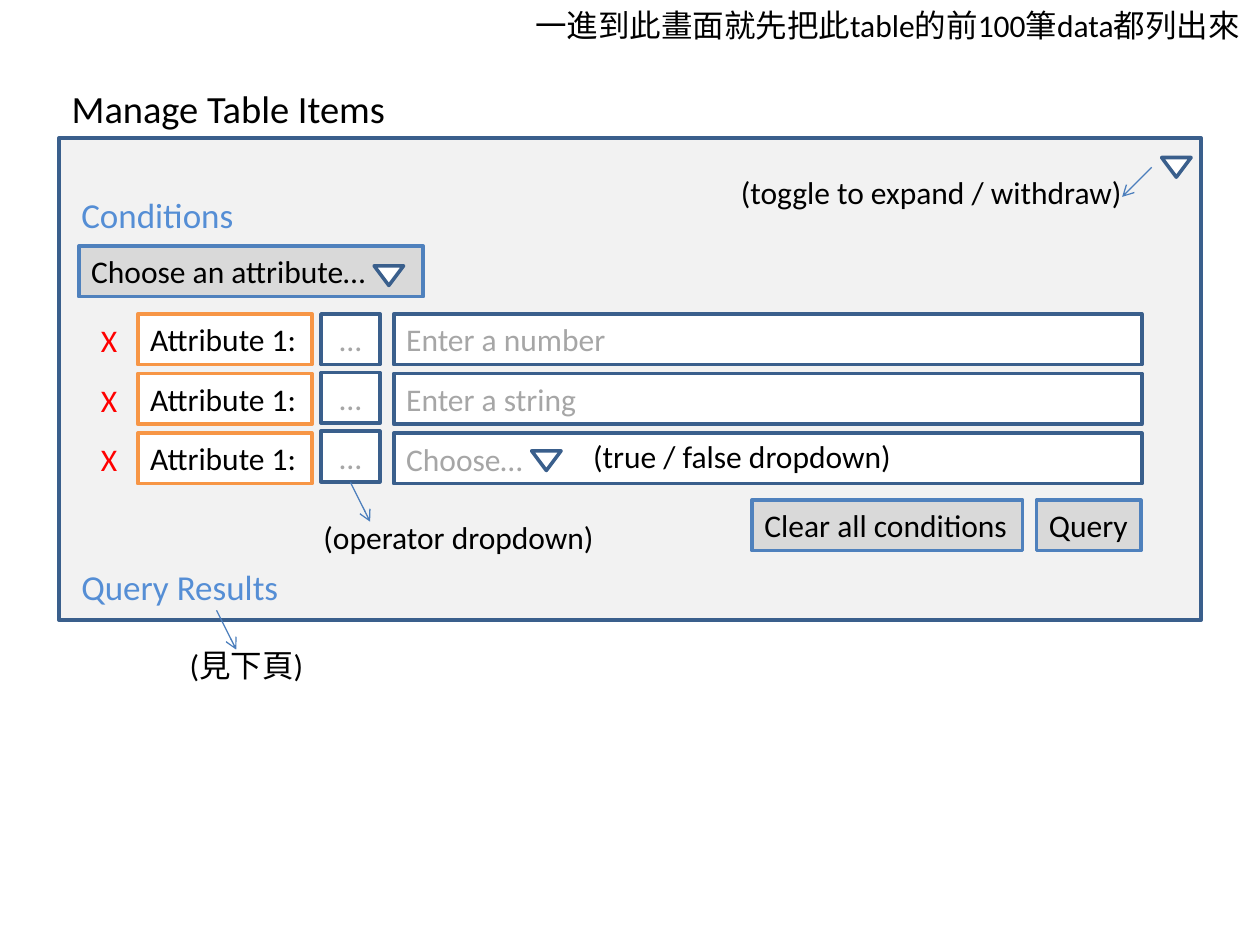
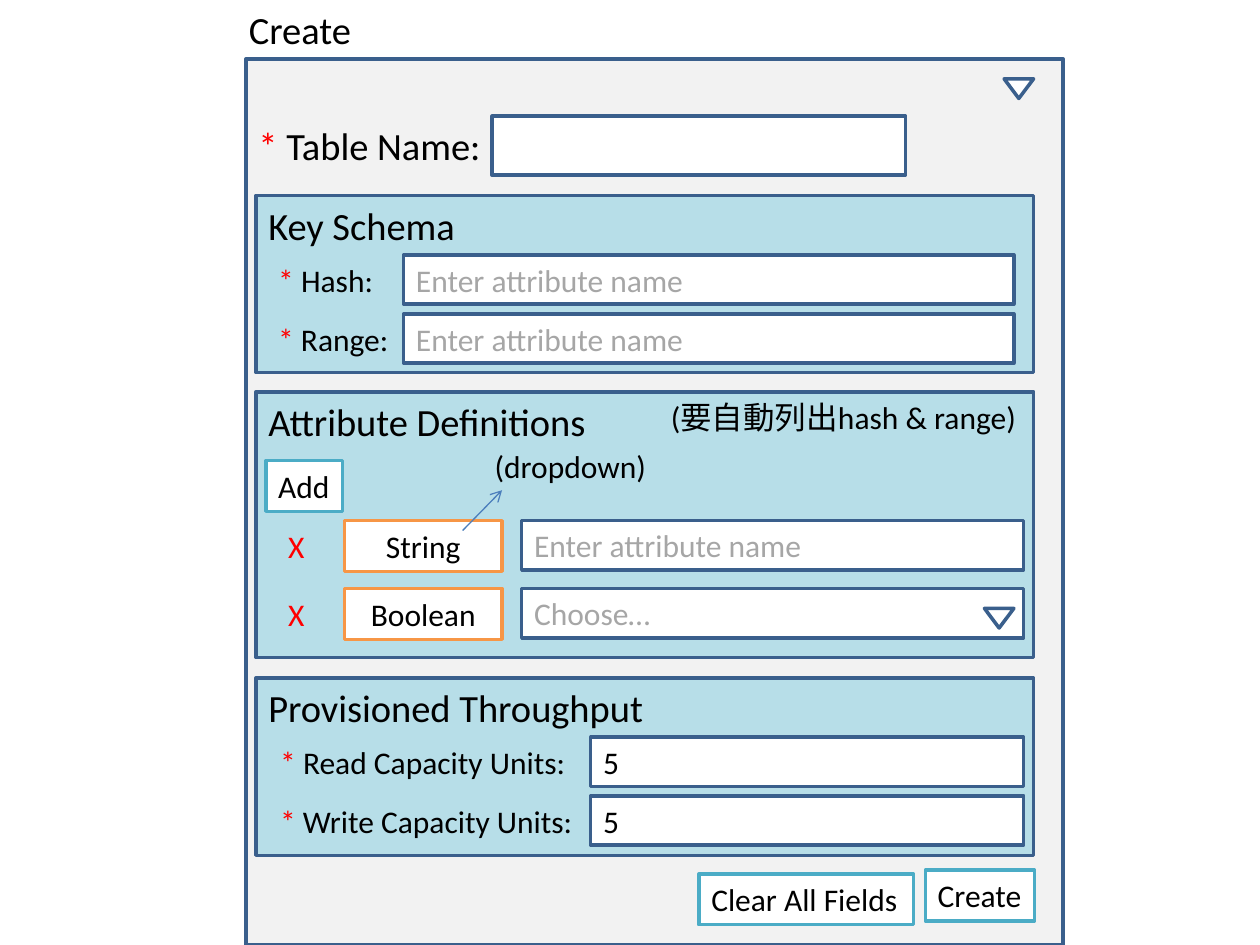
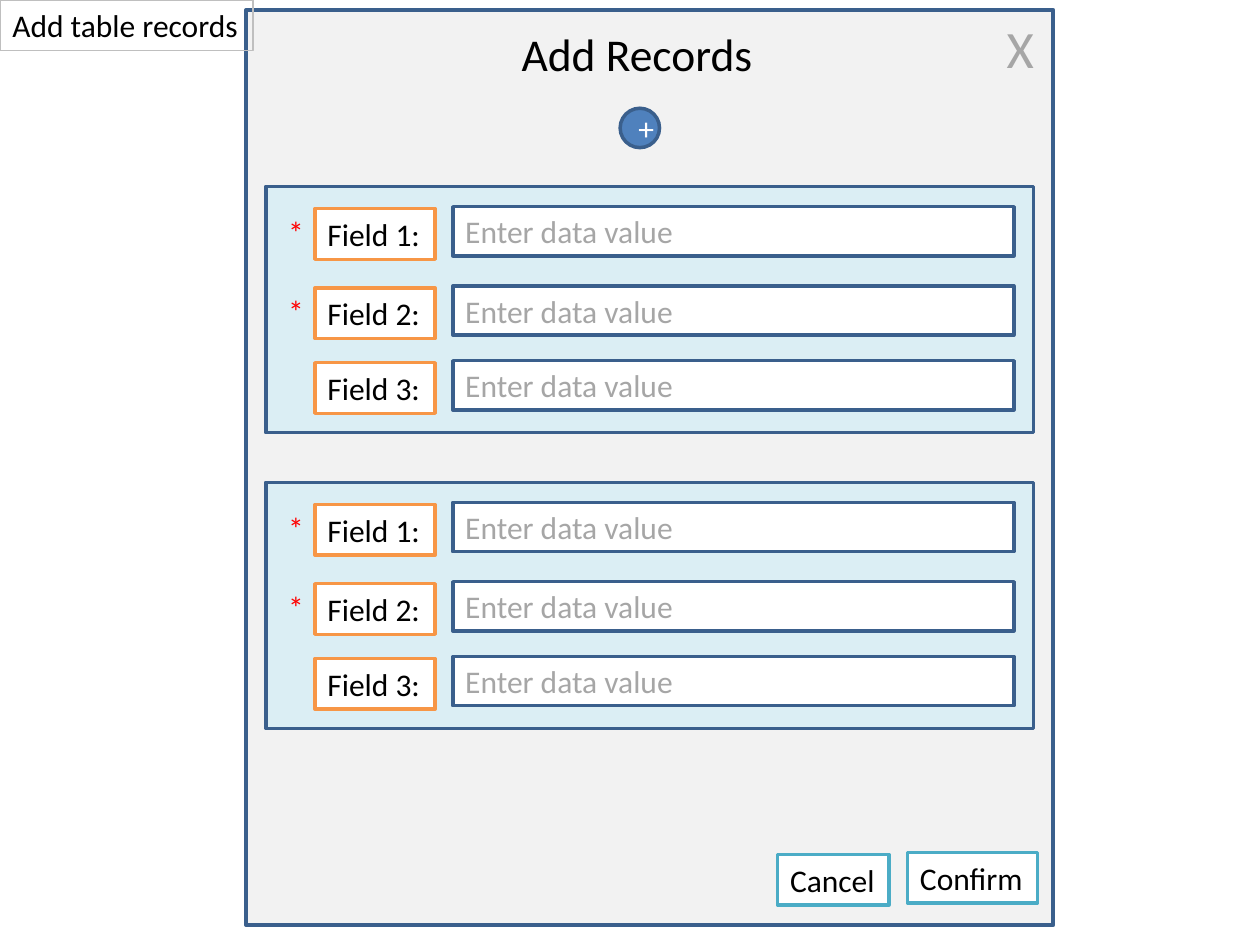
"""Build three wireframe slides for managing, creating and filling tables."""
import lxml.etree
import pptx
import pptx.dml.color
import pptx.enum.shapes
import pptx.enum.text
import pptx.oxml.ns
import pptx.util

HUES = {
    "black": "000000", "white": "FFFFFF", "red": "FF0000", "grey": "A6A6A6",
    "panel": "F2F2F2", "silver": "D9D9D9", "edge": "BFBFBF", "navy": "3A5F8C",
    "blue": "4F81BD", "arrow": "4B7EBC", "head": "558ED5", "orange": "F79646",
    "teal": "4BACC6", "aqua": "B7DEE8", "pale": "DBEEF4",
}
RGB = {name: pptx.dml.color.RGBColor.from_string(hue) for name, hue in HUES.items()}
SHAPE = pptx.enum.shapes.MSO_SHAPE
ALIGN = pptx.enum.text.PP_ALIGN
ANCHOR = pptx.enum.text.MSO_ANCHOR

deck = pptx.Presentation()
deck.slide_width = pptx.util.Inches(10)
deck.slide_height = pptx.util.Inches(7.5)
COL = deck.slide_width / 128
ROW = deck.slide_height / 96
HIGH = 5.15


def put(page, text, x, y, w, h=HIGH, kind=None, fill=None, line=None, thick=2,
        size=18, color="black", star=False, mid=False, center=False, wrap=False):
    """Place a text box, a preset shape or the title on the grid and format it."""
    spot = [round(x * COL), round(y * ROW), round(w * COL), round(h * ROW)]
    if kind == "title":
        shape = page.shapes.title
        shape.left, shape.top, shape.width, shape.height = spot
        page.shapes.element.append(shape.element)
    elif kind is None:
        shape = page.shapes.add_textbox(*spot)
    else:
        shape = page.shapes.add_shape(kind, *spot)
        shape.shadow.inherit = False
        if fill:
            shape.fill.solid()
            shape.fill.fore_color.rgb = RGB[fill]
        else:
            shape.fill.background()
        shape.line.color.rgb = RGB[line]
        shape.line.width = pptx.util.Pt(thick)
    if not text:
        return
    frame = shape.text_frame
    frame.auto_size = pptx.enum.text.MSO_AUTO_SIZE.NONE
    frame.word_wrap = wrap
    frame.vertical_anchor = ANCHOR.MIDDLE if mid else ANCHOR.TOP
    para = frame.paragraphs[0]
    para.alignment = ALIGN.CENTER if center else ALIGN.LEFT
    for part, hue in ([("* ", "red")] if star else []) + [(text, color)]:
        run = para.add_run()
        run.text = part
        run.font.name = "Calibri"
        run.font.size = pptx.util.Pt(size)
        run.font.color.rgb = RGB[hue]


def point(page, x, y, to_x, to_y):
    """Draw a thin arrow between two grid points."""
    ends = [round(x * COL), round(y * ROW), round(to_x * COL), round(to_y * ROW)]
    arrow = page.shapes.add_connector(pptx.enum.shapes.MSO_CONNECTOR.STRAIGHT, *ends)
    arrow.line.color.rgb = RGB["arrow"]
    arrow.line.width = pptx.util.Pt(0.75)
    qn = pptx.oxml.ns.qn
    props = arrow.element.find(qn("p:spPr"))
    lxml.etree.SubElement(props.find(qn("a:ln")), qn("a:tailEnd"), type="arrow")
    lxml.etree.SubElement(props, qn("a:effectLst"))


BOX = {"kind": SHAPE.RECTANGLE, "line": "navy"}
PANEL = {**BOX, "fill": "panel"}
GROUP = {**BOX, "fill": "aqua"}
FIELD = {**BOX, "fill": "white", "mid": True, "wrap": True}
HINT = {**FIELD, "color": "grey"}
LABEL = {**BOX, "fill": "white", "line": "orange"}
PUSH = {**BOX, "fill": "white", "line": "teal"}
QUERY = {**BOX, "fill": "silver", "line": "blue", "mid": True}
DROP = {"w": 3, "h": 2, "kind": SHAPE.FLOWCHART_MERGE, "fill": "white", "line": "navy"}
TITLE = {"kind": "title", "size": 22}
HEAD = {"h": 5.6, "size": 20, "color": "head"}
CROSS = {"w": 4.2, "color": "red"}

manage, create, add = [deck.slides.add_slide(deck.slide_layouts[5]) for _ in range(3)]

put(manage, "", 6, 14, 116, 49, **PANEL)
put(manage, "Manage Table Items", 6, 8, 34.8, 6, **TITLE)
for row, hint in enumerate(["Enter a number", "Enter a string", "Choose…"]):
    top = 31.9 + 6.05 * row
    put(manage, "X", 9, top + 0.1, **CROSS)
    put(manage, "Attribute 1:", 14, top, 17.7, **LABEL)
    put(manage, "…", 32.6, 31.9 + 5.95 * row, 6, center=True, **HINT)
    put(manage, hint, 40, top, 76, **HINT)
put(manage, "Choose an attribute…", 8, 25, 35, wrap=True, **QUERY)
put(manage, "Clear all conditions", 76.4, 50.8, 27.5, **QUERY)
put(manage, "Query", 105.3, 50.8, 10.6, **QUERY)
for x, y in [(54, 45.8), (38, 27), (118, 16)]:
    put(manage, "", x, y, **DROP)
put(manage, "Conditions", 7, 19, 18.2, **HEAD)
put(manage, "Query Results", 7, 56.8, 22.8, **HEAD)
put(manage, "(true / false dropdown)", 59, 43.8, 33.3)
put(manage, "(operator dropdown)", 31.6, 52, 30.3)
put(manage, "(toggle to expand / withdraw)", 74, 17, 41.7)
put(manage, "一進到此畫面就先把此table的前100筆data都列出來", 53.1, 0, 74.9, wrap=True)
put(manage, "(見下頁)", 18, 65, 14.2, wrap=True)
for ends in [(35.6, 49, 37.6, 53), (117, 17, 114, 20), (22, 62, 24, 66)]:
    point(manage, *ends)

put(create, "", 25, 6, 83, 90, **PANEL)
put(create, "Create", 24, 0, 13.1, 6, **TITLE)
put(create, "Table Name:", 25, 11.8, 25.5, 6, size=22, star=True)
put(create, "", 50, 11.8, 42, 6, **FIELD)
for name, y, w, h in [("Key Schema", 19.85, 21.8, 18),
                      ("Attribute Definitions", 39.8, 35.3, 27),
                      ("Provisioned Throughput", 68.9, 41.1, 18)]:
    put(create, "", 26, y, 79, h, **GROUP)
    put(create, name, 26, y, w, 6, size=22)
for row, (name, w) in enumerate([("Hash:", 12.3), ("Range:", 14)]):
    top = 25.9 + 6 * row
    put(create, name, 27, top, w, star=True)
    put(create, "Enter attribute name", 41, top, 62, 5, **HINT)
put(create, "Add", 27, 46.8, 7.8, **PUSH)
for row, (name, hint) in enumerate([("String", "Enter attribute name"),
                                    ("Boolean", "Choose…")]):
    top = 52.9 + 6.9 * row
    put(create, "X", 28, top, **CROSS)
    put(create, name, 35, top, 16, center=True, **LABEL)
    put(create, hint, 53, top, 51, 5, **HINT)
for row, (name, w) in enumerate([("Read", 31.9), ("Write", 32.6)]):
    top = 74.9 + 5.95 * row
    put(create, name + " Capacity Units:", 27, top, w, star=True, center=True)
    put(create, "5", 60, top, 44, 5, **FIELD)
put(create, "Create", 94, 88.4, 11.1, **PUSH)
put(create, "Clear All Fields", 71, 88.8, 21.8, **PUSH)
for x, y in [(102, 8), (100, 61.8)]:
    put(create, "", x, y, **DROP)
put(create, "(dropdown)", 49, 44.8, 18.2)
point(create, 47, 53.9, 51, 49.8)
put(create, "(要自動列出hash & range)", 66.9, 39.8, 38, wrap=True)

put(add, "", 25, 1, 82, 93, **PANEL)
put(add, "Add Records", 51.7, 2, 26.2, 6.9, **{**TITLE, "size": 26})
put(add, "Add table records", 0, 0, 25.7, **{**BOX, "line": "edge"}, thick=0.75)
put(add, "X", 101, 1, 5.4, 7.8, size=30, color="grey")
put(add, "+", 63, 11, 4, 4, kind=SHAPE.OVAL, fill="blue", line="navy",
    color="white", mid=True, center=True, wrap=True)
for top in [18.95, 49]:
    put(add, "", 27, top, 78, 25, **{**GROUP, "fill": "pale"})
    for count, step in enumerate([2.05, 10.1, 17.7], 1):
        y = top + step
        if count < 3:
            put(add, "*", 28, y, **CROSS)
        put(add, f"Field {count}:", 32, y + 0.2, 12.2, **LABEL)
        put(add, "Enter data value", 46, y, 57, 5, **HINT)
put(add, "Cancel", 79, 86.8, 11.3, **PUSH)
put(add, "Confirm", 92.2, 86.6, 13.2, **PUSH)

deck.save("out.pptx")
